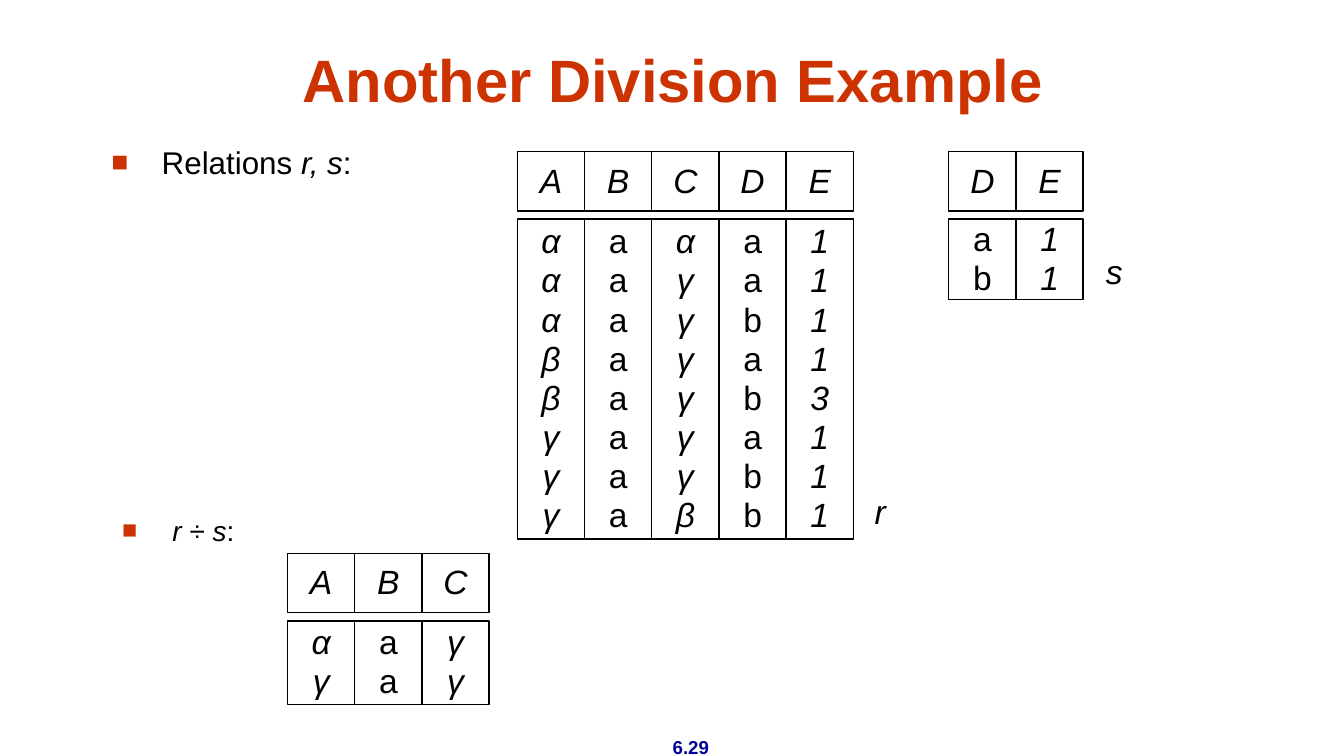
from pptx import Presentation
from pptx.dml.color import RGBColor
from pptx.enum.shapes import MSO_SHAPE as Shape
from pptx.enum.text import MSO_ANCHOR as Anchor, MSO_AUTO_SIZE as AutoSize, PP_ALIGN as Align
from pptx.oxml.ns import qn
from pptx.util import Pt
from lxml import etree

FONT = "Arial"
BLACK, WHITE, RED, BLUE = "000000", "FFFFFF", "CC3300", "000099"

# Content: boxes are (left, top, width, height) in points
TITLE = "Another Division Example"
PAGE_NUMBER = "6.29"

# (left, top, body height, one string of values per attribute)
RELATIONS = [
    (277.2, 81.36, 171.36, {"A": "αααββγγγ", "B": "aaaaaaaa", "C": "αγγγγγγβ",
                            "D": "aabababb", "E": "11113111"}),
    (508.32, 81.36, 43.2, {"D": "ab", "E": "11"}),
    (154.08, 296.64, 44.64, {"A": "αγ", "B": "aa", "C": "γγ"}),
]
RELATION_NAMES = [("r", (461.52, 259.2, 20.16, 28.8)), ("s", (585.36, 131.04, 23.04, 28.8))]

# (box, text size, runs of (text, italic))
BULLETS = [
    ((52.56, 77.04, 201.6, 29.52), 16.8, [("Relations ", False), ("r, s", True), (":", False)]),
    ((58.32, 275.04, 110.16, 26.64), 15,
     [("r ", True), ("÷ ", False), ("s", True), (":", False)]),
]

# Grid of a relation
COLUMN_WIDTH, HEADER_HEIGHT, BODY_OFFSET = 36, 31.68, 36
ROW_SPACING = 0.97

presentation = Presentation()
presentation.slide_width, presentation.slide_height = Pt(720), Pt(405)
slide = presentation.slides.add_slide(presentation.slide_layouts[6])


def color(hex_string):
    return RGBColor.from_string(hex_string)


def add_run(paragraph, text, size, hex_color=BLACK, bold=False, italic=False):
    run = paragraph.add_run()
    run.text = text
    font = run.font
    font.name, font.size = FONT, Pt(size)
    font.bold, font.italic = bold, italic
    font.color.rgb = color(hex_color)


def add_text(box, anchor=Anchor.TOP, wrap=False):
    frame = slide.shapes.add_textbox(*map(Pt, box)).text_frame
    frame.word_wrap, frame.vertical_anchor = wrap, anchor
    frame.auto_size = AutoSize.NONE if wrap else AutoSize.SHAPE_TO_FIT_TEXT
    frame.paragraphs[0].alignment = Align.LEFT if wrap else Align.CENTER
    return frame


def add_cell(box, values):
    cell = slide.shapes.add_shape(Shape.RECTANGLE, *map(Pt, box))
    cell.shadow.inherit = False
    cell.fill.solid()
    cell.fill.fore_color.rgb = color(WHITE)
    cell.line.color.rgb = color(BLACK)
    cell.line.width = Pt(0.75)
    frame = cell.text_frame
    frame.word_wrap, frame.vertical_anchor = False, Anchor.MIDDLE
    frame.margin_top = frame.margin_bottom = 0
    for row, value in enumerate(values):
        paragraph = frame.add_paragraph() if row else frame.paragraphs[0]
        paragraph.alignment = Align.CENTER
        paragraph.line_spacing = ROW_SPACING
        add_run(paragraph, value, 18, italic=value not in "ab")


def add_square_bullet(paragraph):
    properties = paragraph._p.get_or_add_pPr()
    properties.set("marL", str(Pt(27)))
    properties.set("indent", str(-Pt(27)))
    bullet_color = etree.SubElement(properties, qn("a:buClr"))
    etree.SubElement(bullet_color, qn("a:srgbClr"), val=RED)
    etree.SubElement(properties, qn("a:buSzPct"), val="90000")
    etree.SubElement(properties, qn("a:buFont"), typeface=FONT)
    etree.SubElement(properties, qn("a:buChar"), char="■")


# Page number and title
add_run(add_text((334.8, 390.96, 70.56, 19.44)).paragraphs[0], PAGE_NUMBER, 10, BLUE, bold=True)

title = add_text((60.48, 24.48, 600.48, 40.32), Anchor.BOTTOM, wrap=True)
title.margin_top, title.margin_bottom = 0, Pt(3.5)
title.paragraphs[0].alignment = Align.CENTER
add_run(title.paragraphs[0], TITLE, 32, RED, bold=True)

# Relations: a header cell above a body cell for each attribute
for left, top, body_height, attributes in RELATIONS:
    for column, (attribute, values) in enumerate(attributes.items()):
        x = left + column * COLUMN_WIDTH
        add_cell((x, top, COLUMN_WIDTH, HEADER_HEIGHT), attribute)
        add_cell((x, top + BODY_OFFSET, COLUMN_WIDTH, body_height), values)

# Bulleted captions
for box, size, runs in BULLETS:
    caption = add_text(box, wrap=True).paragraphs[0]
    caption.line_spacing = 0.8
    add_square_bullet(caption)
    for text, italic in runs:
        add_run(caption, text, size, italic=italic)

# Names beside the relations
for name, box in RELATION_NAMES:
    add_run(add_text(box, Anchor.MIDDLE).paragraphs[0], name, 18, italic=True)

presentation.save("out.pptx")
